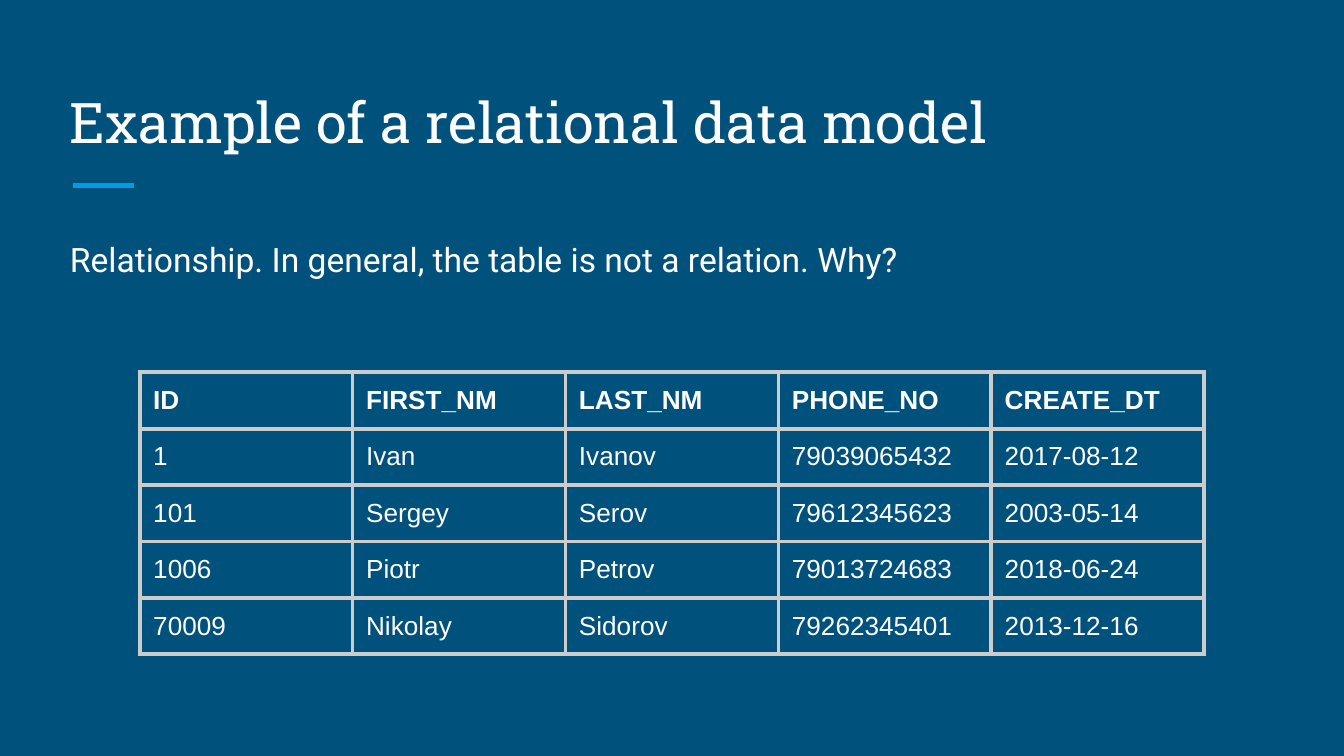
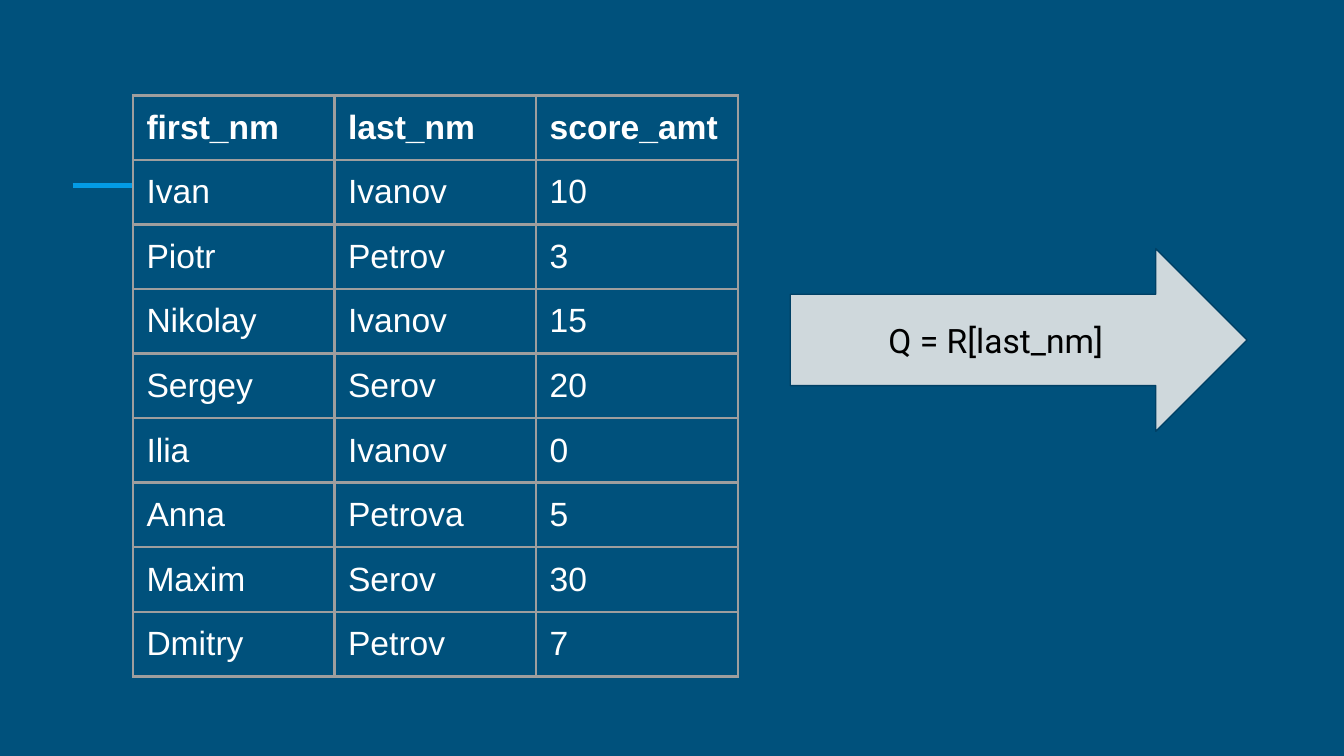
from dataclasses import dataclass

from lxml.etree import SubElement
from pptx import Presentation
from pptx.dml.color import RGBColor
from pptx.enum.shapes import MSO_CONNECTOR, MSO_SHAPE
from pptx.enum.text import MSO_ANCHOR, MSO_AUTO_SIZE, PP_ALIGN
from pptx.oxml import parse_xml
from pptx.oxml.ns import nsdecls, qn
from pptx.util import Inches, Pt

# Content
TITLE = "Example of a relational data model"
LEAD = "Relationship. In general, the table is not a relation. Why?"
PEOPLE = [
    ("ID", "FIRST_NM", "LAST_NM", "PHONE_NO", "CREATE_DT"),
    ("1", "Ivan", "Ivanov", "79039065432", "2017-08-12"),
    ("101", "Sergey", "Serov", "79612345623", "2003-05-14"),
    ("1006", "Piotr", "Petrov", "79013724683", "2018-06-24"),
    ("70009", "Nikolay", "Sidorov", "79262345401", "2013-12-16"),
]
SCORES = [
    ("first_nm", "last_nm", "score_amt"),
    ("Ivan", "Ivanov", "10"),
    ("Piotr", "Petrov", "3"),
    ("Nikolay", "Ivanov", "15"),
    ("Sergey", "Serov", "20"),
    ("Ilia", "Ivanov", "0"),
    ("Anna", "Petrova", "5"),
    ("Maxim", "Serov", "30"),
    ("Dmitry", "Petrov", "7"),
]
QUERY = "Q = R[last_nm]"


# Theme
@dataclass(frozen=True)
class Theme:
    page: str = "00517C"
    accent: str = "039BE5"
    text: str = "FFFFFF"
    dark: str = "000000"
    arrow: str = "CFD8DC"
    edge: str = "004065"
    light: str = "CCCCCC"
    gray: str = "9E9E9E"
    head: str = "Roboto Slab"
    body: str = "Roboto"
    cell: str = "Arial"
    large: int = 30
    normal: int = 18
    small: int = 14


THEME = Theme()
INSET = Inches(0.1)


def paint(fill, color):
    fill.solid()
    fill.fore_color.rgb = RGBColor.from_string(color)


def style(para, face, size, color, bold=False):
    font = para.font
    font.name, font.size, font.bold = face, Pt(size), bold
    font.color.rgb = RGBColor.from_string(color)


def pad(frame):
    frame.margin_left = frame.margin_right = INSET
    frame.margin_top = frame.margin_bottom = INSET


# Shared parts
def add_page(deck, layout):
    slide = deck.slides.add_slide(deck.slide_layouts[layout])
    bar = slide.shapes.add_connector(
        MSO_CONNECTOR.STRAIGHT, Inches(0.54), Inches(1.38), Inches(1), Inches(1.38))
    bar.line.color.rgb = RGBColor.from_string(THEME.accent)
    bar.line.width = Pt(3)
    SubElement(bar._element.spPr, qn("a:effectLst"))
    return slide


def fill_holder(holder, text, box, anchor, face, size):
    holder.left, holder.top, holder.width, holder.height = map(Inches, box)
    frame = holder.text_frame
    frame.text = text
    frame.auto_size = MSO_AUTO_SIZE.NONE
    frame.vertical_anchor = anchor
    pad(frame)
    para = frame.paragraphs[0]
    para.alignment = PP_ALIGN.LEFT
    para.space_before = Pt(0)
    style(para, face, size, THEME.text)
    return para


def add_border(cell, color, width):
    props = cell._tc.get_or_add_tcPr()
    for spot, side in enumerate("LRTB"):
        props.insert(spot, parse_xml(
            f'<a:ln{side} {nsdecls("a")} w="{Pt(width)}"><a:solidFill>'
            f'<a:srgbClr val="{color}"/></a:solidFill></a:ln{side}>'))


def add_grid(slide, rows, left, top, wide, high, size, color, width):
    """Lay rows out in equal columns across the given full width."""
    count = len(rows[0])
    table = slide.shapes.add_table(
        len(rows), count, Inches(left), Inches(top),
        Inches(wide), Inches(high * len(rows))).table
    table.horz_banding = False
    for col in table.columns:
        col.width = Inches(wide / count)
    for r, row in enumerate(rows):
        table.rows[r].height = Inches(high)
        for c, text in enumerate(row):
            cell = table.cell(r, c)
            cell.text = text
            pad(cell)
            paint(cell.fill, THEME.page)
            add_border(cell, color, width)
            style(cell.text_frame.paragraphs[0], THEME.cell, size, THEME.text, r == 0)


# Slides
def add_model(deck):
    slide = add_page(deck, 1)
    title, body = slide.placeholders
    fill_holder(title, TITLE, (0.42, 0.5, 9.15, 0.75),
                MSO_ANCHOR.BOTTOM, THEME.head, THEME.large)
    para = fill_holder(body, LEAD, (0.42, 1.63, 9.15, 3.37),
                       MSO_ANCHOR.TOP, THEME.body, THEME.normal)
    para.line_spacing = 1.15
    para.space_after = Pt(12)
    props = para._p.get_or_add_pPr()
    props.set("marL", "0")
    props.set("indent", "0")
    props.insert_element_before(
        parse_xml(f'<a:buNone {nsdecls("a")}/>'), "a:tabLst", "a:defRPr", "a:extLst")
    add_grid(slide, PEOPLE, 1.04, 2.77, 7.92, 0.42, THEME.small, THEME.light, 2.25)


def add_query(deck):
    slide = add_page(deck, 6)
    add_grid(slide, SCORES, 0.99, 0.71, 4.5, 0.48, THEME.normal, THEME.gray, 1.5)
    arrow = slide.shapes.add_shape(
        MSO_SHAPE.RIGHT_ARROW, Inches(5.88), Inches(1.85), Inches(3.4), Inches(1.36))
    arrow.shadow.inherit = False
    paint(arrow.fill, THEME.arrow)
    arrow.line.color.rgb = RGBColor.from_string(THEME.edge)
    arrow.line.width = Pt(0.75)
    frame = arrow.text_frame
    frame.text = QUERY
    frame.word_wrap = True
    frame.vertical_anchor = MSO_ANCHOR.MIDDLE
    pad(frame)
    para = frame.paragraphs[0]
    para.alignment = PP_ALIGN.CENTER
    style(para, THEME.body, THEME.normal, THEME.dark)


def main():
    deck = Presentation()
    deck.slide_width = Inches(10)
    deck.slide_height = deck.slide_width * 9 // 16
    paint(deck.slide_master.background.fill, THEME.page)
    add_model(deck)
    add_query(deck)
    deck.save("out.pptx")


if __name__ == "__main__":
    main()
